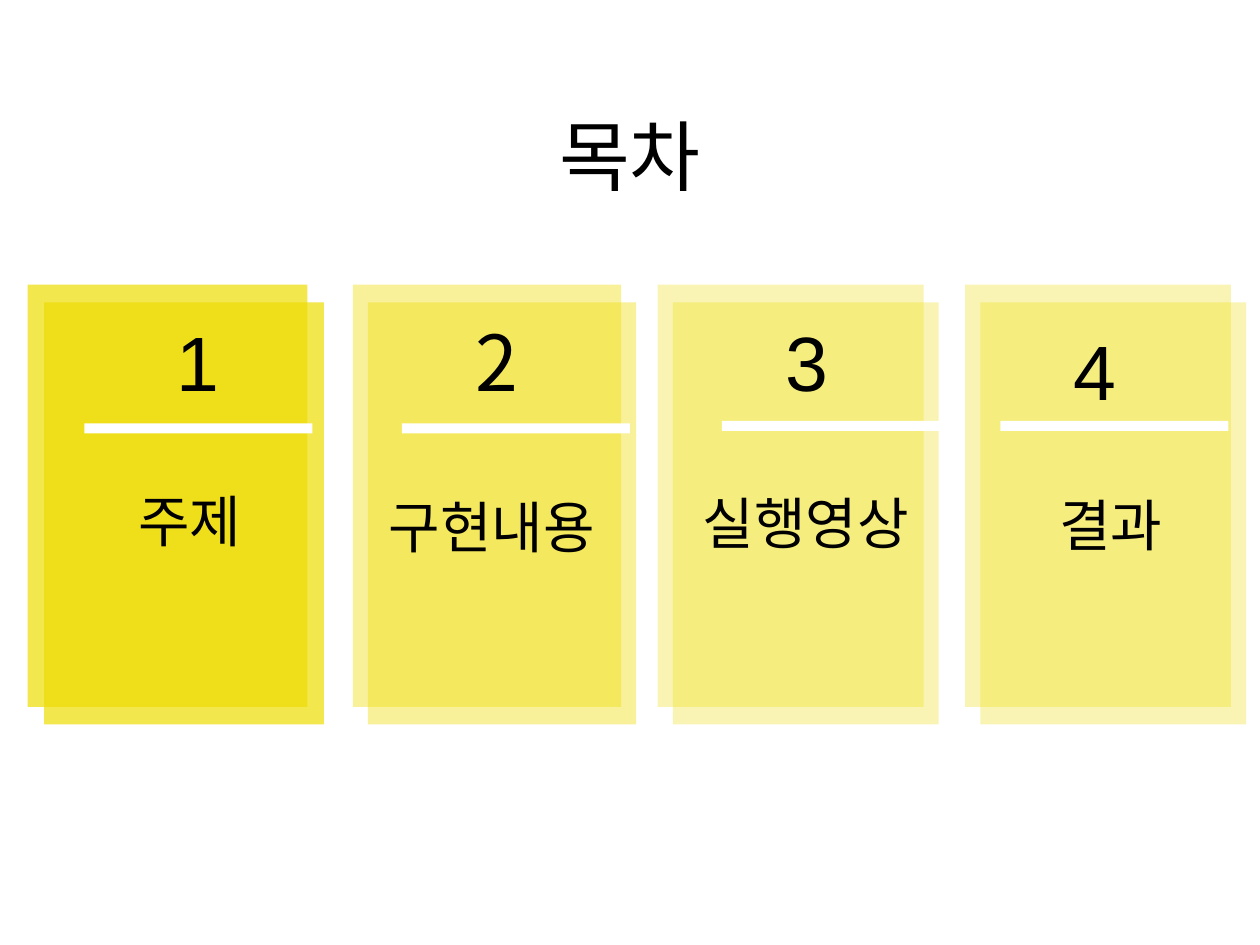
from dataclasses import dataclass

from lxml import etree
from pptx import Presentation
from pptx.dml.color import RGBColor
from pptx.enum.shapes import MSO_SHAPE
from pptx.enum.text import MSO_ANCHOR, PP_ALIGN
from pptx.oxml.ns import qn
from pptx.util import Inches, Pt

RECTANGLE = MSO_SHAPE.RECTANGLE
TOP, MIDDLE = MSO_ANCHOR.TOP, MSO_ANCHOR.MIDDLE
CENTER = PP_ALIGN.CENTER


@dataclass(frozen=True)
class Theme:
    yellow: RGBColor = RGBColor(0xEE, 0xDD, 0x04)
    white: RGBColor = RGBColor(0xFF, 0xFF, 0xFF)
    black: RGBColor = RGBColor(0, 0, 0)
    font: str = "Arial"
    korean_font: str = "Noto Sans CJK KR"
    heading_size: Pt = Pt(44)
    label_size: Pt = Pt(32)


theme = Theme()


def add_block(shapes, left, top, width, height, color, opacity=100):
    block = shapes.add_shape(
        RECTANGLE, Inches(left), Inches(top), Inches(width), Inches(height)
    )
    block.shadow.inherit = False
    block.fill.solid()
    block.fill.fore_color.rgb = color
    block.line.fill.background()
    if opacity < 100:
        fill_color = block.element.spPr.find(f".//{qn('a:srgbClr')}")
        etree.SubElement(fill_color, qn("a:alpha")).set("val", str(opacity * 1000))


def add_text(text, left, top, width, height, size, anchor, font=theme.font):
    box = slide.shapes.add_textbox(
        Inches(left), Inches(top), Inches(width), Inches(height)
    )
    frame = box.text_frame
    frame.word_wrap = True
    frame.vertical_anchor = anchor
    paragraph = frame.paragraphs[0]
    paragraph.text = text
    paragraph.alignment = CENTER
    paragraph.font.name = font
    paragraph.font.size = size
    paragraph.font.color.rgb = theme.black


prs = Presentation()
prs.slide_width, prs.slide_height = Inches(10), Inches(7.5)
slide = prs.slides.add_slide(prs.slide_layouts[6])

add_text("목차", 1.57, 0.6, 6.86, 1.25, theme.heading_size, MIDDLE)

cards = [
    (0.22, 2.22, 0.13, 70),
    (2.8, 2.13, 0.12, 40),
    (5.22, 2.11, 0.12, 30),
    (7.66, 2.11, 0.12, 30),
]
for left, width, offset, opacity in cards:
    card = slide.shapes.add_group_shape()
    add_block(card.shapes, left, 2.26, width, 3.35, theme.yellow, opacity)
    add_block(card.shapes, left + offset, 2.4, width, 3.35, theme.yellow, opacity)

numbers = [
    ("1", -0.54, 2.06, theme.font),
    ("2", 1.83, 2.06, theme.korean_font),
    ("3", 4.29, 2.06, theme.font),
    ("4", 6.58, 2.13, theme.font),
]
for number, left, top, font in numbers:
    add_text(number, left, top, 4.22, 1.61, theme.heading_size, MIDDLE, font)

for left, top in [(0.67, 3.36), (3.19, 3.36), (5.73, 3.34), (7.94, 3.34)]:
    add_block(slide.shapes, left, top, 1.81, 0.08, theme.white)

topics = [
    ("주제", 0.35, 3.81),
    ("구현내용", 2.75, 3.86),
    ("실행영상", 5.24, 3.83),
    ("결과", 7.66, 3.84),
]
for topic, left, top in topics:
    add_text(topic, left, top, 2.31, 0.92, theme.label_size, TOP)

prs.save("out.pptx")
